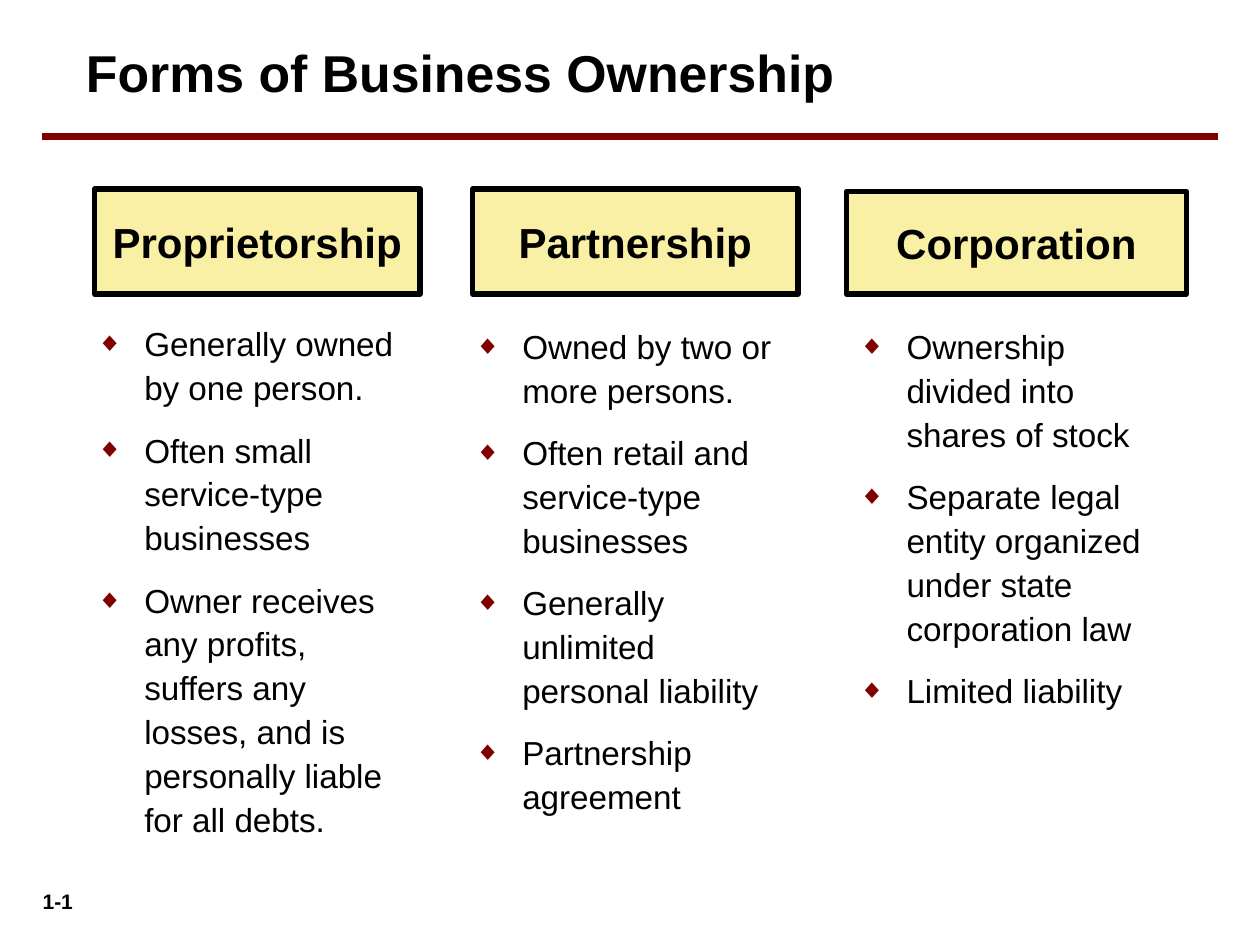
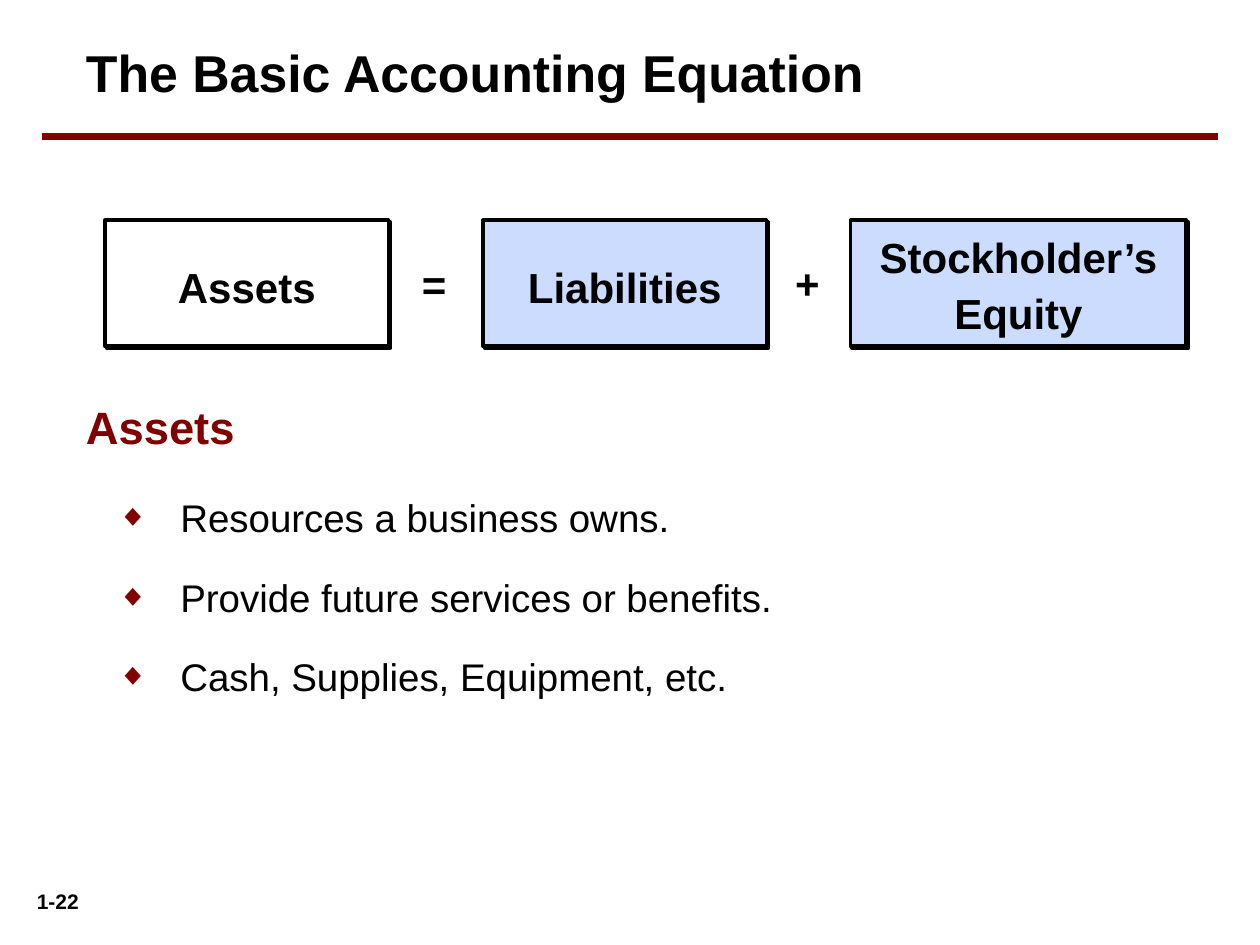
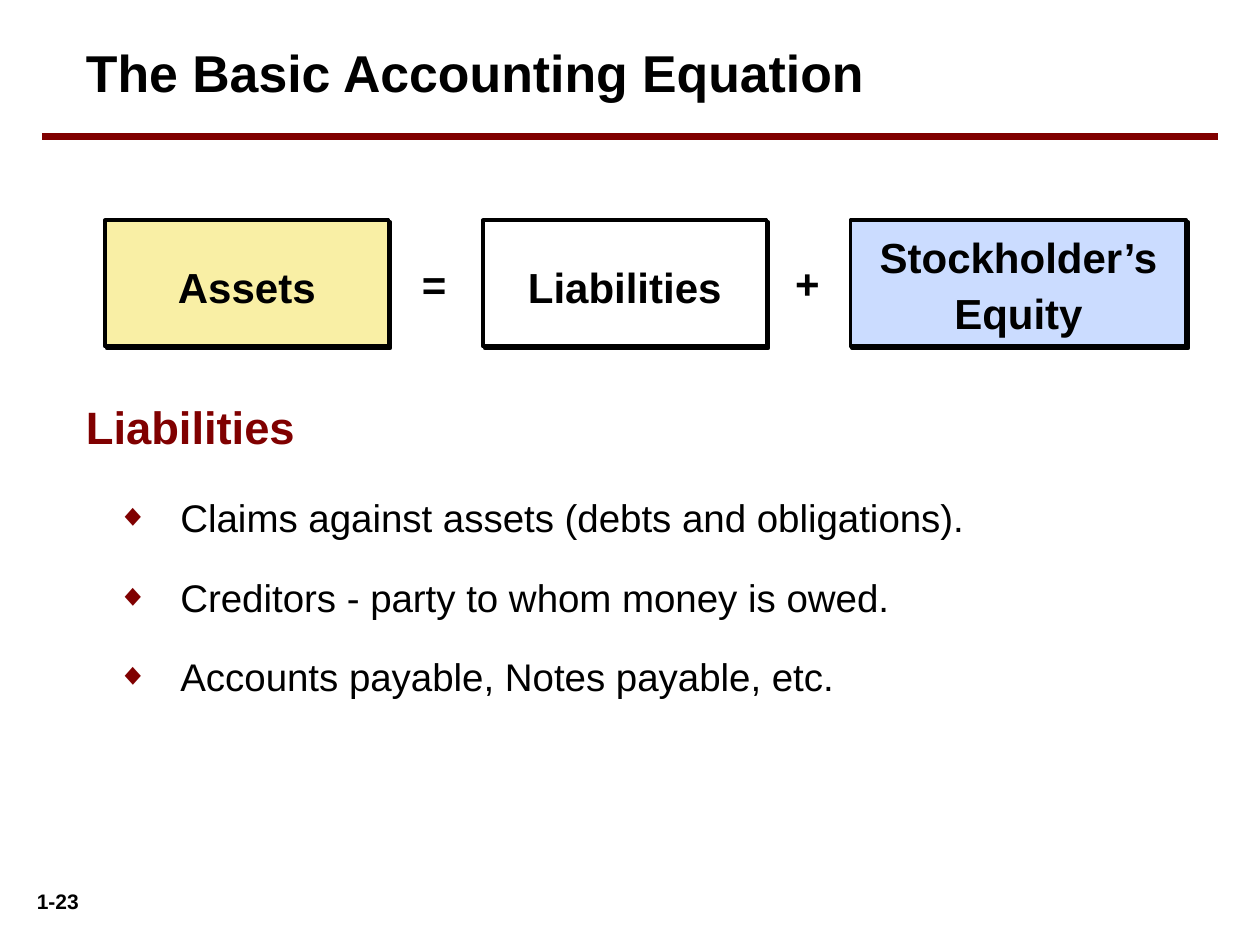
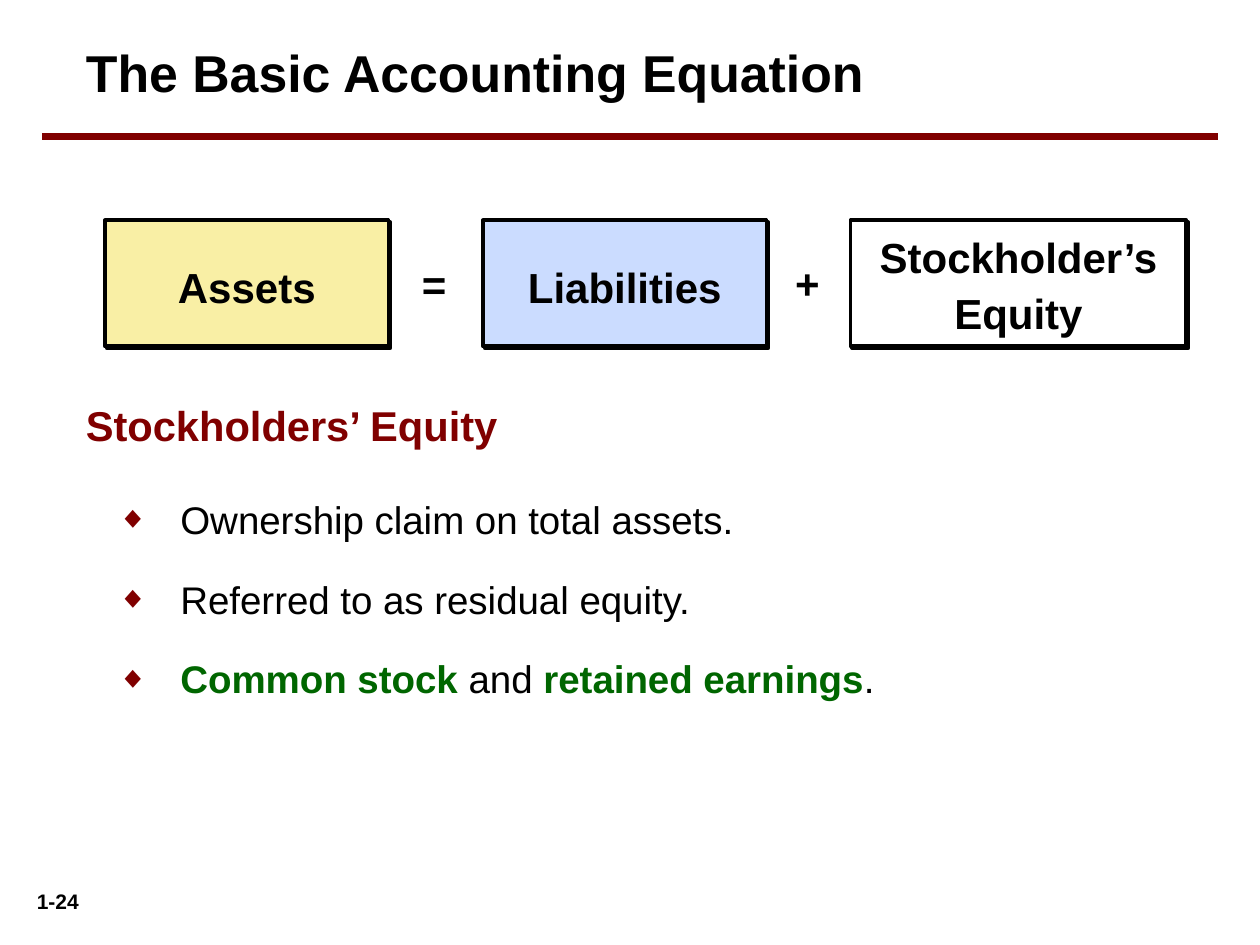
"""Build four slides on business ownership and the accounting equation."""
from lxml.etree import SubElement
from pptx import Presentation
from pptx.dml.color import RGBColor as RGB
from pptx.enum.shapes import MSO_CONNECTOR as CONN, MSO_SHAPE as SHAPE
from pptx.enum.text import MSO_ANCHOR as ANCHOR, MSO_AUTO_SIZE as FIT, PP_ALIGN as ALIGN
from pptx.oxml.ns import qn
from pptx.util import Inches, Pt

COLORS = {"ink": "000000", "paper": "FFFFFF", "maroon": "800000",
          "yellow": "F9EFA5", "blue": "CBDCFF", "green": "006600"}
FONT = "Arial"
COLS, ROWS = 120, 90


class Deck:
    """Hold the shared style and the current slide, on a 120 by 90 grid."""

    def __init__(self):
        self.prs = Presentation()
        self.prs.slide_width, self.prs.slide_height = Inches(10), Inches(7.5)
        self.slide = None

    def place(self, x, y, w, h):
        """Turn grid columns and rows into lengths."""
        col, row = self.prs.slide_width / COLS, self.prs.slide_height / ROWS
        return [round(v) for v in (x * col, y * row, w * col, h * row)]

    def start(self, title, number):
        """Add a slide with its number, rule and title."""
        self.slide = self.prs.slides.add_slide(self.prs.slide_layouts[6])
        self.text(number, (1, 84, 9, 3.6), 12, align=ALIGN.CENTER, fit=FIT.SHAPE_TO_FIT_TEXT)
        self.rule(4, 116, 13)
        self.text(title, (7, 4, 106, 7.3), 29.6, spacing=0.9)

    def rule(self, x1, x2, y):
        """Draw the maroon rule below the title."""
        left, top, right, _ = self.place(x1, y, x2, 0)
        line = self.slide.shapes.add_connector(CONN.STRAIGHT, left, top, right, top)
        line.line.color.rgb = RGB.from_string(COLORS["maroon"])
        line.line.width = Pt(4.5)
        SubElement(line._element.spPr, qn("a:effectLst"))

    def frame(self, sp, side=0.1, top=0.05, anchor=ANCHOR.TOP, fit=FIT.NONE):
        """Set insets, anchor and wrapping, and return the text frame."""
        tf = sp.text_frame
        tf.word_wrap, tf.auto_size, tf.vertical_anchor = True, fit, anchor
        tf.margin_left = tf.margin_right = Inches(side)
        tf.margin_top, tf.margin_bottom = Inches(top), Inches(0.05)
        return tf

    def run(self, p, text, size, color="ink", bold=True):
        """Add one styled run."""
        r = p.add_run()
        r.text = text
        r.font.name, r.font.size, r.font.bold = FONT, Pt(size), bold
        r.font.color.rgb = RGB.from_string(COLORS[color])

    def text(self, text, at, size, color="ink", align=ALIGN.LEFT, spacing=1.0, fit=FIT.NONE):
        """Add a bold single-paragraph text box."""
        sp = self.slide.shapes.add_textbox(*self.place(*at))
        p = self.frame(sp, fit=fit).paragraphs[0]
        p.alignment, p.line_spacing = align, spacing
        self.run(p, text, size, color)

    def box(self, text, at, fill, weight=3, side=0.1, spacing=1.0,
            anchor=ANCHOR.MIDDLE, shadow=False):
        """Add an outlined label box, with a hard shadow if asked."""
        sp = self.slide.shapes.add_shape(SHAPE.RECTANGLE, *self.place(*at))
        sp.fill.solid()
        sp.fill.fore_color.rgb = RGB.from_string(COLORS[fill])
        sp.line.color.rgb = RGB.from_string(COLORS["ink"])
        sp.line.width = Pt(weight)
        sp.shadow.inherit = False
        if shadow:
            effects = sp._element.spPr.find(qn("a:effectLst"))
            outer = SubElement(effects, qn("a:outerShdw"), dist=str(Pt(1.4)),
                               dir="2700000", algn="ctr", rotWithShape="0")
            SubElement(outer, qn("a:srgbClr"), val=COLORS["ink"])
        p = self.frame(sp, side, anchor=anchor).paragraphs[0]
        p.alignment, p.line_spacing = ALIGN.CENTER, spacing
        self.run(p, text, 24)

    def bullets(self, items, at, size, indent, hang, spacing, before,
                level=0, top=0.05, fit=FIT.NONE):
        """Add a diamond list; an item is a string or a list of (text, strong) runs."""
        sp = self.slide.shapes.add_textbox(*self.place(*at))
        tf = self.frame(sp, top=top, fit=fit)
        for i, item in enumerate(items):
            p = tf.add_paragraph() if i else tf.paragraphs[0]
            pPr = p._p.get_or_add_pPr()
            pPr.set("marL", str(Inches(indent)))
            pPr.set("indent", str(-Inches(hang)))
            color = SubElement(pPr, qn("a:buClr"))
            SubElement(color, qn("a:srgbClr"), val=COLORS["maroon"])
            SubElement(pPr, qn("a:buSzPct"), val="80000")
            SubElement(pPr, qn("a:buFont"), typeface=FONT)
            SubElement(pPr, qn("a:buChar"), char="◆")
            p.level, p.line_spacing = level, spacing
            p.space_before = Pt(before if i else 0)
            for text, strong in [(item, False)] if isinstance(item, str) else item:
                self.run(p, text, size, "green" if strong else "ink", strong)

    def equation(self, active):
        """Draw the equation row with the active term in white."""
        terms = [("Assets", 10, 27, "yellow", 1.7), ("Liabilities", 46, 27, "blue", 1.7),
                 ("Stockholder’s Equity", 81, 32, "blue", 1.1)]
        for i, (name, x, w, fill, spacing) in enumerate(terms):
            self.box(name, (x, 21, w, 12), "paper" if i == active else fill, weight=2.25,
                     side=0.2, spacing=spacing, anchor=ANCHOR.TOP, shadow=True)
        for sign, x, y, align in [("=", 39, 24, ALIGN.LEFT), ("+", 74, 23.9, ALIGN.CENTER)]:
            self.text(sign, (x, y, 5.8, 6), 24, align=align, fit=FIT.SHAPE_TO_FIT_TEXT)


FORMS = [
    ("Proprietorship", (9, 18, 31, 10), (8, 29), [
        "Generally owned by one person.",
        "Often small service-type businesses",
        "Owner receives any profits, suffers any losses, and is personally liable "
        "for all debts."]),
    ("Partnership", (45, 18, 31, 10), (44, 29.25), [
        "Owned by two or more persons.",
        "Often retail and service-type businesses",
        "Generally unlimited personal liability",
        "Partnership agreement"]),
    ("Corporation", (80.6, 18.25, 32.4, 9.75), (80.6, 29.25), [
        "Ownership divided into shares of stock",
        "Separate legal entity organized under state corporation law",
        "Limited liability"]),
]

TERMS = [
    ("1-22", "Assets", 25.9, 45.6, [
        "Resources a business owns.",
        "Provide future services or benefits.",
        "Cash, Supplies, Equipment, etc."]),
    ("1-23", "Liabilities", 25.9, 45.6, [
        "Claims against assets (debts and obligations).",
        "Creditors - party to whom money is owed.",
        "Accounts payable, Notes payable, etc."]),
    ("1-24", "Stockholders’ Equity", 23.8, 45.8, [
        "Ownership claim on total assets.",
        "Referred to as residual equity.",
        [("Common stock", True), (" and ", False), ("retained earnings", True), (".", False)]]),
]


def main():
    """Build and save the deck."""
    deck = Deck()
    deck.start("Forms of Business Ownership", "1-1")
    for name, at, (x, y), items in FORMS:
        deck.box(name, at, "yellow")
        deck.bullets(items, (x, y, 32.3, 82 - y), 19, 0.38, 0.38, 1.1, 10.6, top=0.12)
    for i, (number, heading, size, y, items) in enumerate(TERMS):
        deck.start("The Basic Accounting Equation", number)
        deck.equation(i)
        deck.text(heading, (7, 38, 102, 6.6), size, "maroon", spacing=0.9)
        deck.bullets(items, (7, y, 108, 21.6), 22, 0.75, 0.5, 1.2, 13.8, level=1,
                     fit=FIT.SHAPE_TO_FIT_TEXT)
    deck.prs.save("out.pptx")


if __name__ == "__main__":
    main()
